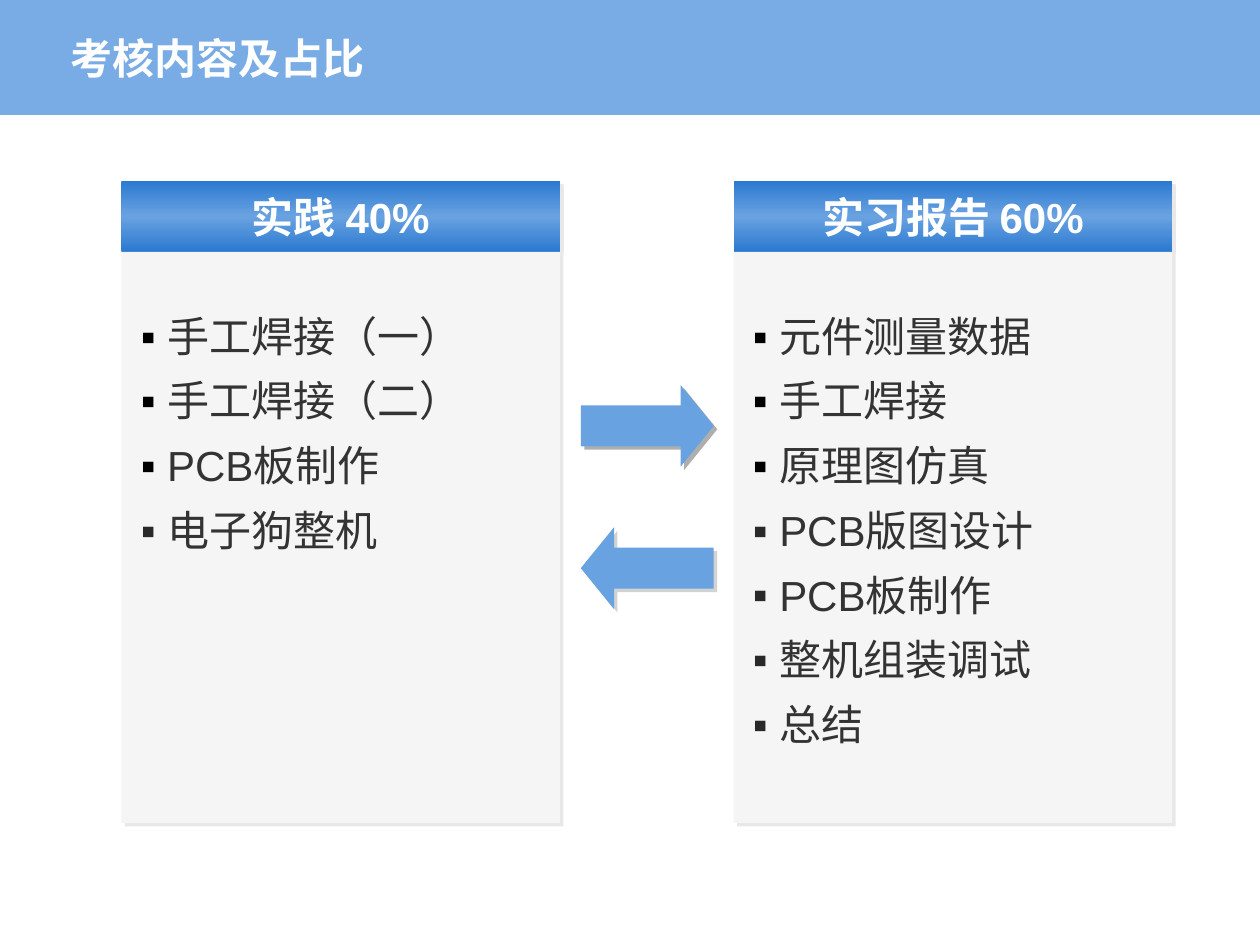
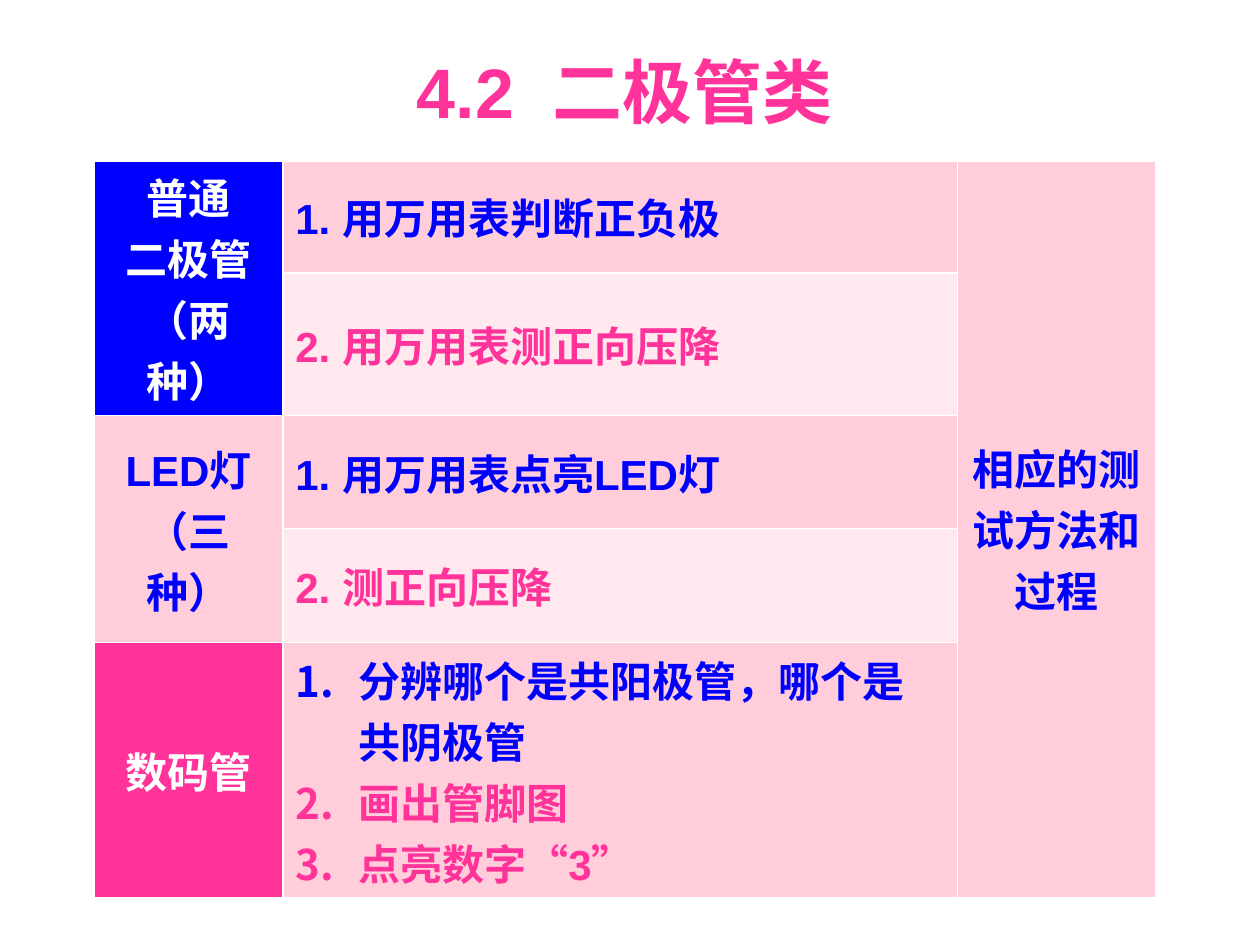
from copy import deepcopy

from lxml.etree import SubElement
from pptx import Presentation
from pptx.dml.color import RGBColor
from pptx.enum.shapes import MSO_SHAPE as Preset
from pptx.enum.text import MSO_ANCHOR as Anchor, MSO_AUTO_SIZE as AutoSize, PP_ALIGN as Align
from pptx.oxml.ns import qn
from pptx.util import Cm, Pt

COLORS = {
    "sky": "69A2E1", "deep": "2A79D0", "panel": "F5F5F5", "white": "FFFFFF",
    "text": "333333", "black": "000000", "charcoal": "292929",
    "shadow": "D2D2D2", "dark_shadow": "5F5F5F",
    "blue": "0000FF", "pink": "FF3399", "rose": "FFCEDA", "pale": "FFE8EE",
}
LATIN, CJK = "Arial", "Noto Sans CJK SC"


def rgb(name):
    return RGBColor.from_string(COLORS[name])


def add_color(parent, name, alpha=100):
    color = SubElement(parent, qn("a:srgbClr"), val=COLORS[name])
    if alpha < 100:
        SubElement(color, qn("a:alpha"), val=str(alpha * 1000))


class Deck:
    """Holds the shared style and the current slide."""

    def __init__(self):
        self.prs = Presentation()
        self.prs.slide_width, self.prs.slide_height = Cm(25.4), Cm(19.05)
        self.slide = None

    def new_slide(self):
        self.slide = self.prs.slides.add_slide(self.prs.slide_layouts[6])

    def style(self, para, color, size=24, bold=False, latin=LATIN, align=None):
        para.alignment = align
        font = para.font
        font.size, font.bold, font.name = Pt(size), bold, latin
        font.color.rgb = rgb(color)
        SubElement(para._p.pPr.find(qn("a:defRPr")), qn("a:ea"), typeface=CJK)

    def bullet(self, para, indent, char=None, color=None):
        """A coloured character, or automatic numbers when no character is given."""
        props = para._p.get_or_add_pPr()
        props.set("marL", str(Cm(indent)))
        props.set("indent", str(-Cm(indent)))
        if color:
            add_color(SubElement(props, qn("a:buClr")), color)
        SubElement(props, qn("a:buFont"), typeface=LATIN if char else CJK)
        if char:
            SubElement(props, qn("a:buChar"), char=char)
        else:
            SubElement(props, qn("a:buAutoNum"), type="arabicPeriod")

    def paragraphs(self, frame, lines):
        for i, line in enumerate(lines):
            para = frame.paragraphs[0] if i == 0 else frame.add_paragraph()
            para.text = line
            yield i, para

    def block(self, preset, box, fill, shadow=None, shadow_alpha=50):
        shape = self.slide.shapes.add_shape(preset, *map(Cm, box))
        shape.shadow.inherit = False
        shape.line.fill.background()
        shape.fill.solid()
        shape.fill.fore_color.rgb = rgb(fill)
        if shadow:
            effects = shape._element.spPr.find(qn("a:effectLst"))
            outer = SubElement(effects, qn("a:outerShdw"), blurRad="0", dist=str(Pt(2.8)),
                               dir="2700000", algn="ctr", rotWithShape="0")
            add_color(outer, shadow, shadow_alpha)
        return shape

    def text_box(self, box):
        frame = self.slide.shapes.add_textbox(*map(Cm, box)).text_frame
        frame.word_wrap = True
        return frame

    def title_band(self, title):
        band = self.block(Preset.RECTANGLE, (0, 0, 25.4, 2.32), "sky")
        tint = band._element.spPr.find(qn("a:solidFill"))[0]
        SubElement(tint, qn("a:alpha"), val="89000")
        frame = self.text_box((1.17, 0.53, 17.37, 1.27))
        frame.auto_size = AutoSize.SHAPE_TO_FIT_TEXT
        for _, para in self.paragraphs(frame, [title]):
            self.style(para, "white", bold=True, latin=CJK)

    def arrow(self, top, shadow, shadow_alpha, flipped=False):
        arrow = self.block(Preset.RIGHT_ARROW, (11.71, top, 2.68, 1.65), "sky",
                           shadow, shadow_alpha)
        arrow.adjustments[1] = 0.406
        if flipped:
            arrow._element.spPr.find(qn("a:xfrm")).set("flipH", "1")

    def panel(self, left, heading, items):
        width = 8.84
        # Heading with a three-stop gradient
        header = self.block(Preset.RECTANGLE, (left, 3.64, width, 1.44), "sky", "shadow")
        header.fill.gradient()
        header.fill.gradient_angle = 270
        stops = header._element.spPr.find(".//" + qn("a:gsLst"))
        stops.append(deepcopy(stops[0]))
        for i, (stop, color) in enumerate(zip(header.fill.gradient_stops, ("deep", "sky", "deep"))):
            stop.position = i / 2
            stop.color.rgb = rgb(color)
        frame = header.text_frame
        frame.word_wrap, frame.vertical_anchor = False, Anchor.MIDDLE
        for _, para in self.paragraphs(frame, [heading]):
            self.style(para, "white", bold=True, align=Align.CENTER)

        # Body and its list
        self.block(Preset.RECTANGLE, (left, 5.08, width, 11.51), "panel", "shadow")
        frame = self.text_box((left + 0.39, 6.03, 8.45, 7.59))
        frame.margin_left, frame.margin_top = 0, Cm(0.3)
        frame.margin_right, frame.margin_bottom = Cm(0.41), Cm(0.2)
        for i, para in self.paragraphs(frame, items):
            self.bullet(para, 0.53, "▪", "black" if i < 3 else "charcoal")
            para.line_spacing, para.space_after = 0.95, Pt(9.6)
            self.style(para, "text")

    def table(self, left, top, widths, heights):
        grid = self.slide.shapes.add_table(len(heights), len(widths), Cm(left), Cm(top),
                                           Cm(sum(widths)), Cm(sum(heights))).table
        grid.first_row = grid.horz_banding = False
        for column, width in zip(grid.columns, widths):
            column.width = Cm(width)
        for r, height in enumerate(heights):
            grid.rows[r].height = Cm(height)
            for c in range(len(widths)):
                cell = grid.cell(r, c)
                self.borders(cell, bottom=3 if r == 0 else 1, top=3 if r == 1 else 1)
                cell.fill.background()
        return grid

    def borders(self, cell, top, bottom):
        props = cell._tc.get_or_add_tcPr()
        for side, points in (("L", 1), ("R", 1), ("T", top), ("B", bottom)):
            line = SubElement(props, qn("a:ln" + side), w=str(Pt(points)))
            add_color(SubElement(line, qn("a:solidFill")), "white")

    def cell(self, grid, at, lines, colors, fill=None, span=(1, 1), size=24,
             centered=True, numbered=False):
        row, col = at
        cell = grid.cell(row, col)
        if span != (1, 1):
            cell.merge(grid.cell(row + span[0] - 1, col + span[1] - 1))
        cell.vertical_anchor = Anchor.MIDDLE
        if fill:
            cell.fill.solid()
            cell.fill.fore_color.rgb = rgb(fill)
        for i, para in self.paragraphs(cell.text_frame, lines):
            if numbered:
                self.bullet(para, 1.27)
            self.style(para, colors[min(i, len(colors) - 1)], size, True,
                       align=Align.CENTER if centered else None)


def grading_slide(deck):
    deck.new_slide()
    deck.arrow(7.76, "dark_shadow", 50)
    deck.arrow(10.63, "shadow", 100, flipped=True)
    deck.panel(2.45, "实践 40%", ["手工焊接（一）", "手工焊接（二）", "PCB板制作", "电子狗整机"])
    deck.panel(14.79, "实习报告 60%", ["元件测量数据", "手工焊接", "原理图仿真", "PCB版图设计",
                                  "PCB板制作", "整机组装调试", "总结"])
    deck.title_band("考核内容及占比")


def diode_slide(deck):
    deck.new_slide()
    grid = deck.table(1.9, 0.33, (3.8, 13.6, 3.99), (2.89, 2.28, 2.88, 2.28, 2.29, 5.14))
    deck.cell(grid, (0, 0), ["4.2  二极管类"], ["pink"], span=(1, 3), size=40)

    # Component kinds
    deck.cell(grid, (1, 0), ["普通", "二极管（两种）"], ["white"], "blue", (2, 1))
    deck.cell(grid, (3, 0), ["LED灯（三种）"], ["blue"], "rose", (2, 1))
    deck.cell(grid, (5, 0), ["数码管"], ["white"], "pink")

    # Tasks
    tasks = ["1. 用万用表判断正负极", "2. 用万用表测正向压降", "1. 用万用表点亮LED灯", "2. 测正向压降"]
    for i, task in enumerate(tasks):
        color, fill = (("blue", "rose"), ("pink", "pale"))[i % 2]
        deck.cell(grid, (i + 1, 1), [task], [color], fill, centered=False)
    deck.cell(grid, (5, 1), ["分辨哪个是共阳极管，哪个是共阴极管", "画出管脚图", "点亮数字“3”"],
              ["blue", "pink"], "rose", centered=False, numbered=True)

    # Report requirement
    deck.cell(grid, (1, 2), ["相应的测试方法和过程"], ["blue"], "rose", (5, 1))


def main():
    deck = Deck()
    grading_slide(deck)
    diode_slide(deck)
    deck.prs.save("out.pptx")


if __name__ == "__main__":
    main()
